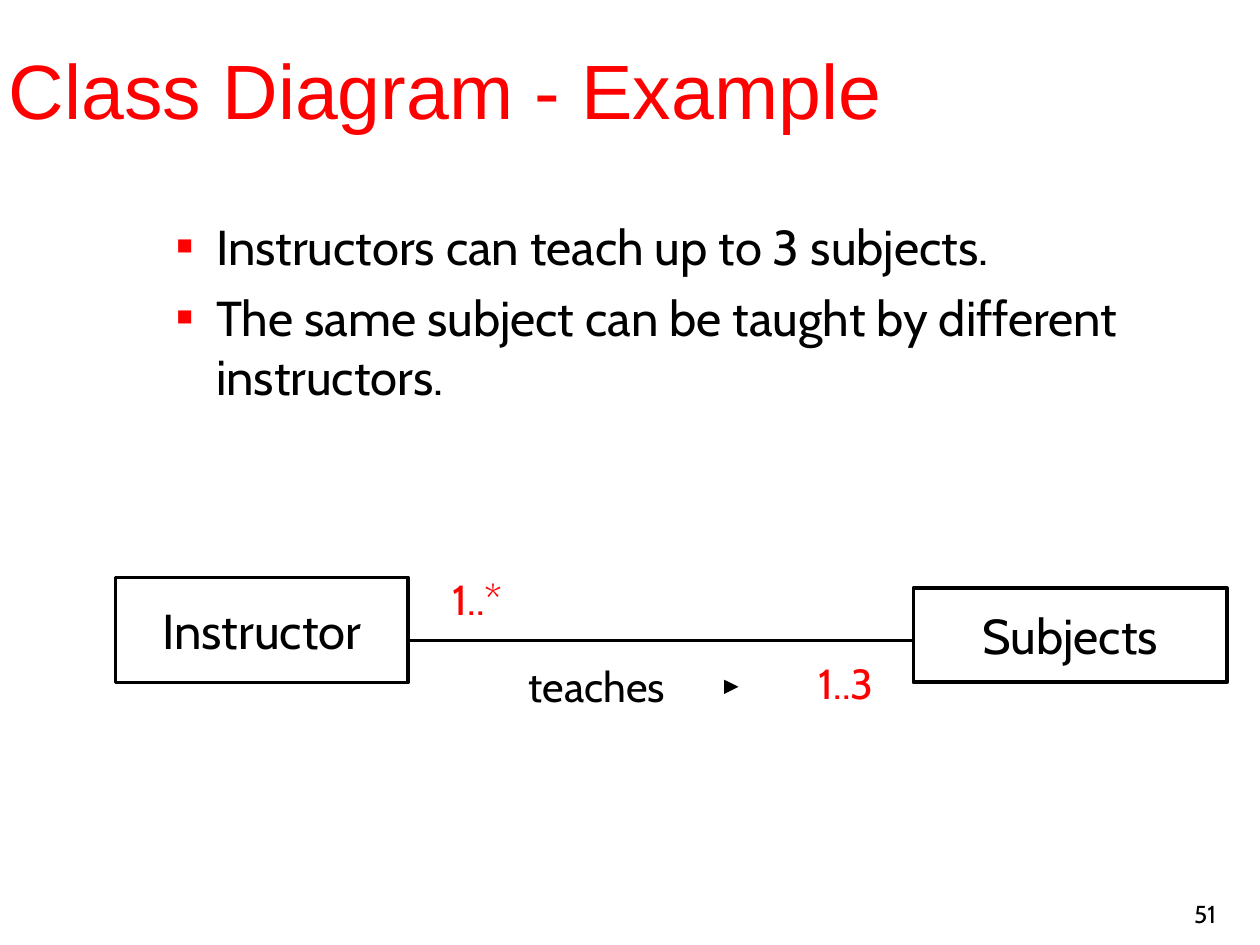
from dataclasses import dataclass

from lxml.etree import SubElement
from pptx import Presentation
from pptx.dml.color import RGBColor
from pptx.enum.shapes import MSO_CONNECTOR as Connector, MSO_SHAPE as Shape
from pptx.enum.text import MSO_ANCHOR as Anchor, PP_ALIGN as Align
from pptx.oxml.ns import qn
from pptx.util import Pt


@dataclass(frozen=True)
class Theme:
    black = RGBColor(0, 0, 0)
    white = RGBColor(255, 255, 255)
    red = RGBColor(255, 0, 0)
    heading_font = "Arial"
    body_font = "Cabin"
    title_size = 44
    body_size = 28
    label_size = 24
    number_size = 14
    line_width = 2.25
    arrow_width = 2.75


@dataclass(frozen=True)
class Box:
    left: float
    top: float
    width: float
    height: float

    def inner(self, left, top, width, height):
        """Box at an offset from this box's corner."""
        return Box(self.left + left, self.top + top, width, height)

    def lengths(self):
        return [Pt(v) for v in (self.left, self.top, self.width, self.height)]


theme = Theme()


def style(para, size, color=theme.black, font=theme.body_font, align=Align.LEFT):
    para.alignment = align
    para.font.size = Pt(size)
    para.font.name = font
    para.font.color.rgb = color


def add_text(page, box, text, size, anchor=Anchor.TOP, **look):
    frame = page.shapes.add_textbox(*box.lengths()).text_frame
    frame.word_wrap = True
    frame.vertical_anchor = anchor
    frame.text = text
    for para in frame.paragraphs:
        style(para, size, **look)
    return frame


def add_line(page, start, end, width):
    line = page.shapes.add_connector(
        Connector.STRAIGHT, *[Pt(v) for v in (*start, *end)])
    line.line.color.rgb = theme.black
    line.line.width = Pt(width)
    SubElement(line._element.spPr, qn("a:effectLst"))
    return line


def add_class(page, box, name):
    shape = page.shapes.add_shape(Shape.RECTANGLE, *box.lengths())
    shape.shadow.inherit = False
    shape.fill.solid()
    shape.fill.fore_color.rgb = theme.white
    shape.line.color.rgb = theme.black
    shape.line.width = Pt(theme.line_width)
    frame = shape.text_frame
    frame.word_wrap = False
    frame.vertical_anchor = Anchor.MIDDLE
    frame.text = name
    style(frame.paragraphs[0], theme.body_size, align=Align.CENTER)


def add_title(page, box, text):
    frame = add_text(page, box, text, theme.title_size, Anchor.MIDDLE,
                     color=theme.red, font=theme.heading_font)
    frame.margin_left = Pt(5)


def add_bullets(page, box, items):
    frame = add_text(page, box, "\n".join(items), theme.body_size)
    frame.margin_left = Pt(5)
    for para in frame.paragraphs:
        para.space_before = Pt(7)
        props = para._p.get_or_add_pPr()
        props.set("marL", str(Pt(58.5)))
        props.set("indent", str(Pt(-22.5)))
        # Bullet elements must stand before the default run properties.
        defaults = props.find(qn("a:defRPr"))
        color = SubElement(props, qn("a:buClr"))
        SubElement(color, qn("a:srgbClr"), val=str(theme.red))
        SubElement(props, qn("a:buSzPct"), val="55000")
        SubElement(props, qn("a:buFont"), typeface=theme.heading_font)
        SubElement(props, qn("a:buChar"), char="■")
        if defaults is not None:
            props.append(defaults)


def add_class_diagram(page, box):
    """Two classes joined by a labelled association."""
    add_class(page, box.inner(0, 6, 167, 60), "Instructor")
    add_class(page, box.inner(456, 12, 179, 54), "Subjects")

    line_y = box.top + 42
    add_line(page, (box.left + 168, line_y), (box.left + 456, line_y),
             theme.line_width)
    add_text(page, box.inner(229, 50, 120, 36), "teaches", theme.label_size)

    arrow_y = box.top + 68.5
    arrow = add_line(page, (box.left + 352.5, arrow_y),
                     (box.left + 356, arrow_y), theme.arrow_width)
    SubElement(arrow.line._get_or_add_ln(), qn("a:tailEnd"), type="triangle")

    for text, place in (("1..*", (174, 0, 66, 36)), ("1..3", (390, 48, 55, 36))):
        add_text(page, box.inner(*place), text, theme.label_size,
                 color=theme.red, align=Align.CENTER)


def add_page_number(page, box, number):
    add_text(page, box, str(number), theme.number_size, Anchor.BOTTOM,
             align=Align.RIGHT)


def main():
    deck = Presentation()
    deck.slide_width, deck.slide_height = Pt(720), Pt(540)
    page = deck.slides.add_slide(deck.slide_layouts[6])
    add_page_number(page, Box(552, 498, 150, 36), 51)
    add_title(page, Box(0, 12, 692, 78), "Class Diagram - Example")
    add_bullets(page, Box(60, 120, 636, 351), [
        "Instructors can teach up to 3 subjects.",
        "The same subject can be taught by different instructors.",
    ])
    add_class_diagram(page, Box(66, 324, 635, 86))
    deck.save("out.pptx")


if __name__ == "__main__":
    main()
